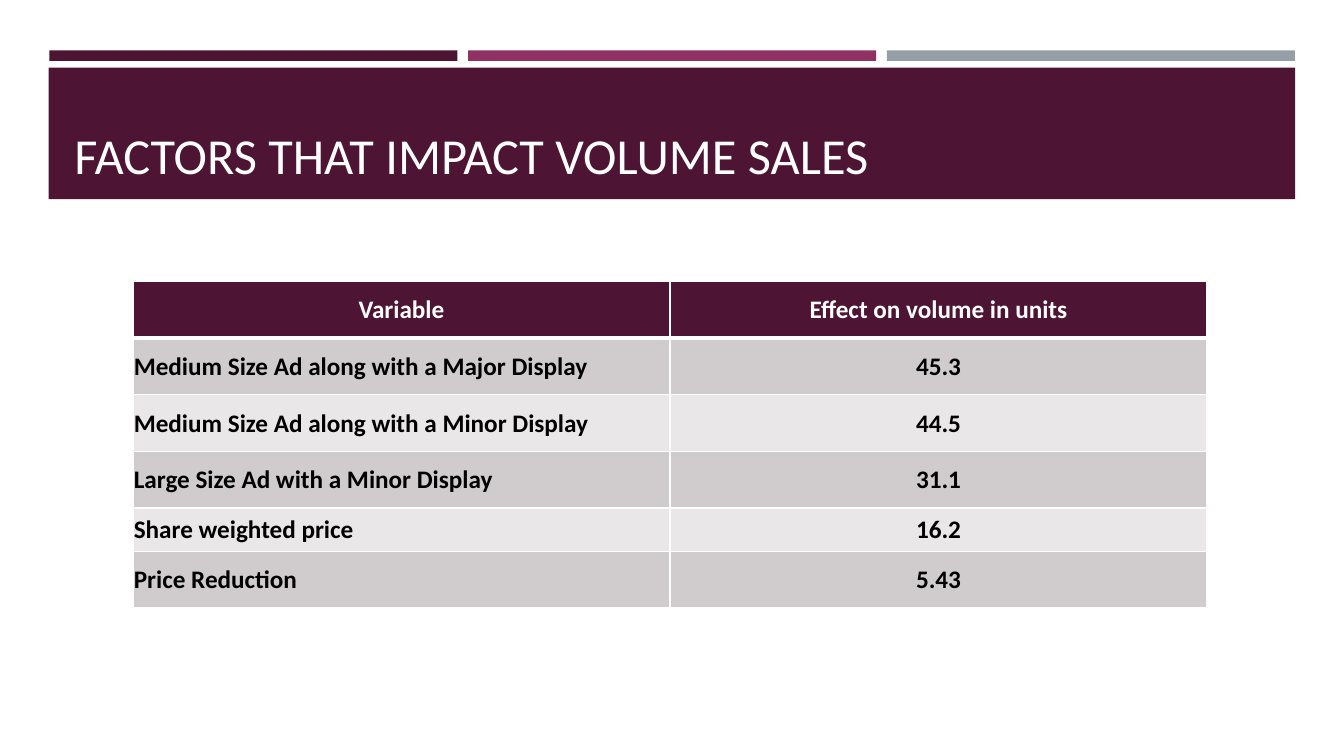
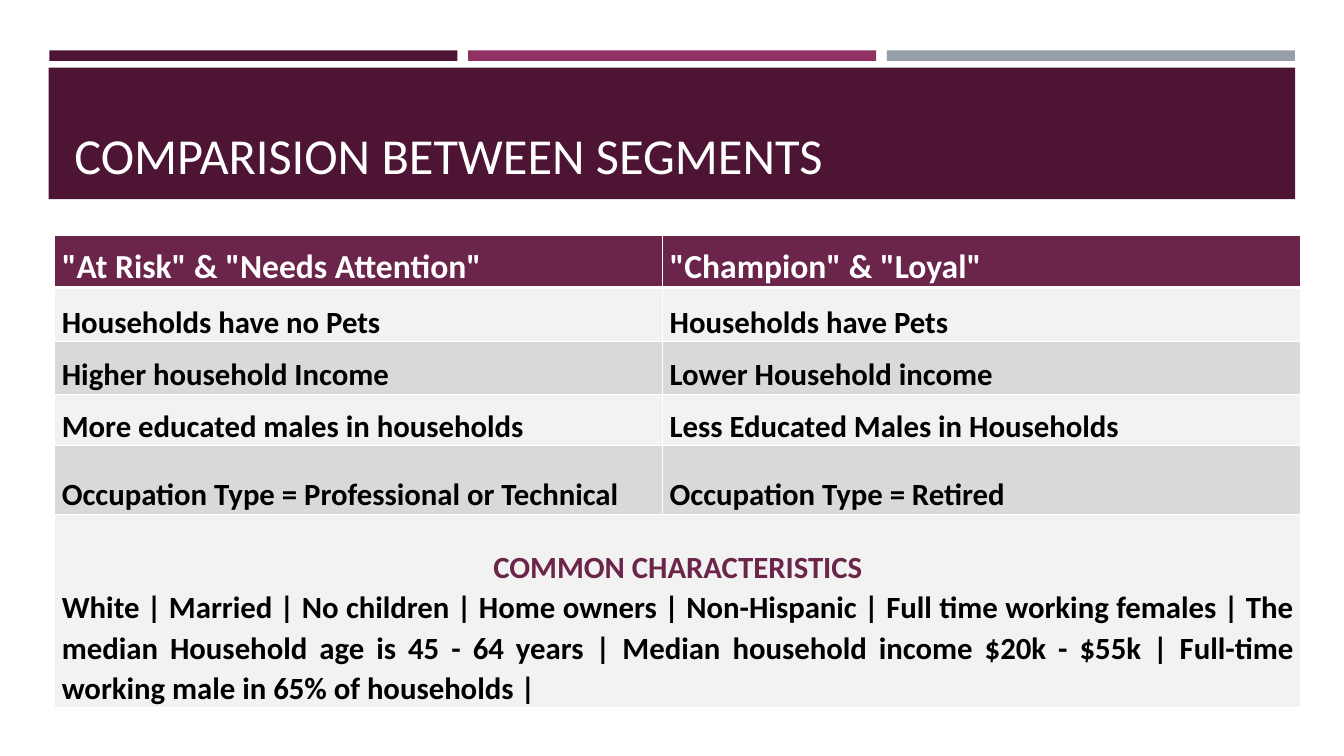
import pptx
import pptx.util
import pptx.dml.color
import pptx.enum.shapes
import pptx.enum.text
import pptx.oxml
import pptx.oxml.ns

Pt = pptx.util.Pt
Align = pptx.enum.text.PP_ALIGN
Anchor = pptx.enum.text.MSO_ANCHOR


class Deck:
    """Holds the shared style and the slide being built."""

    font = "Calibri"
    colors = {
        "plum": "4D1434", "rose": "903163", "slate": "969FA7", "wine": "6C254A",
        "white": "FFFFFF", "black": "000000", "mauve": "D0CCCE", "pale": "E9E7E8",
        "light": "F2F2F2", "gray": "D9D9D9",
    }

    def __init__(self):
        self.file = pptx.Presentation()
        self.file.slide_width, self.file.slide_height = Pt(960), Pt(540)
        self.slide = None

    def paint(self, fill, color):
        fill.solid()
        fill.fore_color.rgb = pptx.dml.color.RGBColor.from_string(self.colors[color])

    def style(self, para, size, color, bold=False, align=Align.LEFT):
        para.alignment = align
        for run in para.runs:
            run.font.name, run.font.size, run.font.bold = self.font, Pt(size), bold
            self.paint(run.font.fill, color)

    def block(self, left, top, width, height, color):
        kind = pptx.enum.shapes.MSO_SHAPE.RECTANGLE
        shape = self.slide.shapes.add_shape(kind, Pt(left), Pt(top), Pt(width), Pt(height))
        shape.shadow.inherit = False
        shape.line.fill.background()
        self.paint(shape.fill, color)

    def title(self, text):
        box = self.slide.shapes.add_textbox(Pt(46.1), Pt(55.4), Pt(868.3), Pt(80))
        frame = box.text_frame
        frame.word_wrap = True
        frame.vertical_anchor = Anchor.BOTTOM
        frame.text = text
        self.style(frame.paragraphs[0], 36, "white")

    def page(self, title):
        self.slide = self.file.slides.add_slide(self.file.slide_layouts[6])
        for i, color in enumerate(("plum", "rose", "slate")):
            self.block(35.2 + i * 299.1, 36, 291.6, 7.5, color)
        self.block(34.8, 48.4, 890.4, 93.8, "plum")
        self.title(title)

    def edges(self, cell, base):
        props = cell._tc.get_or_add_tcPr()
        space = pptx.oxml.ns.nsdecls("a")
        for side, width in (("L", 1), ("R", 1), ("T", 1), ("B", base)):
            props.append(pptx.oxml.parse_xml(
                f'<a:ln{side} {space} w="{Pt(width)}"><a:solidFill>'
                f'<a:srgbClr val="{self.colors["white"]}"/></a:solidFill></a:ln{side}>'))

    def grid(self, left, top, cols, heights, rows, head, bands, sizes, pads, anchor,
             aligns, lead=1):
        shape = self.slide.shapes.add_table(
            len(rows), len(cols), Pt(left), Pt(top), Pt(sum(cols)), Pt(sum(heights)))
        table = shape.table
        for col, width in zip(table.columns, cols):
            col.width = Pt(width)
        for r, (row, height) in enumerate(zip(rows, heights)):
            table.rows[r].height = Pt(height)
            top_row = r == 0
            for c, text in enumerate(row):
                cell = table.cell(r, c)
                self.edges(cell, 3 if top_row else 1)
                self.paint(cell.fill, head if top_row else bands[(r - 1) % 2])
                cell.margin_left = cell.margin_right = Pt(pads[0])
                cell.margin_top, cell.margin_bottom = Pt(pads[1]), Pt(0)
                cell.vertical_anchor = anchor
                cell.text_frame.text = text
                for para in cell.text_frame.paragraphs:
                    para.line_spacing = lead
                    self.style(para, sizes[0 if top_row else 1],
                               "white" if top_row else "black", True,
                               aligns[0 if top_row else 1][c])
        return table


deck = Deck()

deck.page("FACTORS THAT IMPACT VOLUME SALES")
factors = [
    ("Variable", "Effect on volume in units"),
    ("Medium Size Ad along with a Major Display", "45.3"),
    ("Medium Size Ad along with a Minor Display", "44.5"),
    ("Large Size Ad with a Minor Display", "31.1"),
    ("Share weighted price", "16.2"),
    ("Price Reduction", "5.43"),
]
deck.grid(95, 201, [383.6] * 2, [40.5] * 4 + [30.8, 40.5], factors, "plum",
          ("mauve", "pale"), (18, 18), (0.6, 0.6), Anchor.MIDDLE,
          ([Align.CENTER] * 2, [Align.LEFT, Align.CENTER]))

deck.page("COMPARISION BETWEEN SEGMENTS")
traits = [
    ('"At Risk" & "Needs Attention"', '"Champion" & "Loyal"'),
    ("Households have no Pets", "Households have Pets"),
    ("Higher household Income", "Lower Household income"),
    ("More educated males in households", "Less Educated Males in Households"),
    ("Occupation Type = Professional or Technical", "Occupation Type = Retired"),
    ("COMMON CHARACTERISTICS\n"
     "White | Married | No children | Home owners | Non-Hispanic | "
     "Full time working females | The median Household age is 45 - 64 years | "
     "Median household income $20k - $55k | "
     "Full-time working male in 65% of households |", ""),
]
table = deck.grid(39.2, 167.9, [434.2, 455.8], [37.4, 38.9, 37.4, 36.7, 49, 138], traits,
                  "wine", ("light", "gray"), (24, 22), (5, 0), Anchor.BOTTOM,
                  [[Align.LEFT] * 2] * 2, 1.07)
common = table.cell(5, 0)
common.merge(table.cell(5, 1))
label, body = common.text_frame.paragraphs
deck.style(label, 22, "wine", True, Align.CENTER)
body.alignment = Align.JUSTIFY

deck.file.save("out.pptx")
